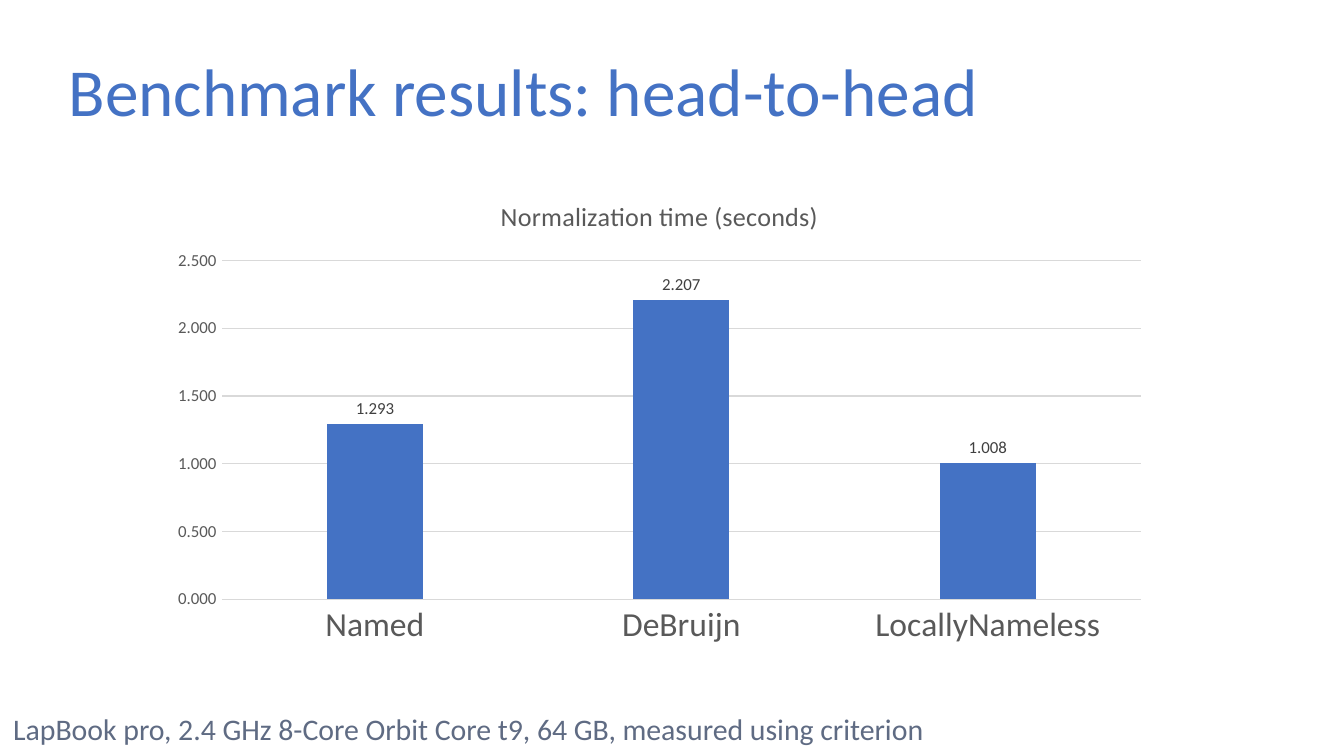
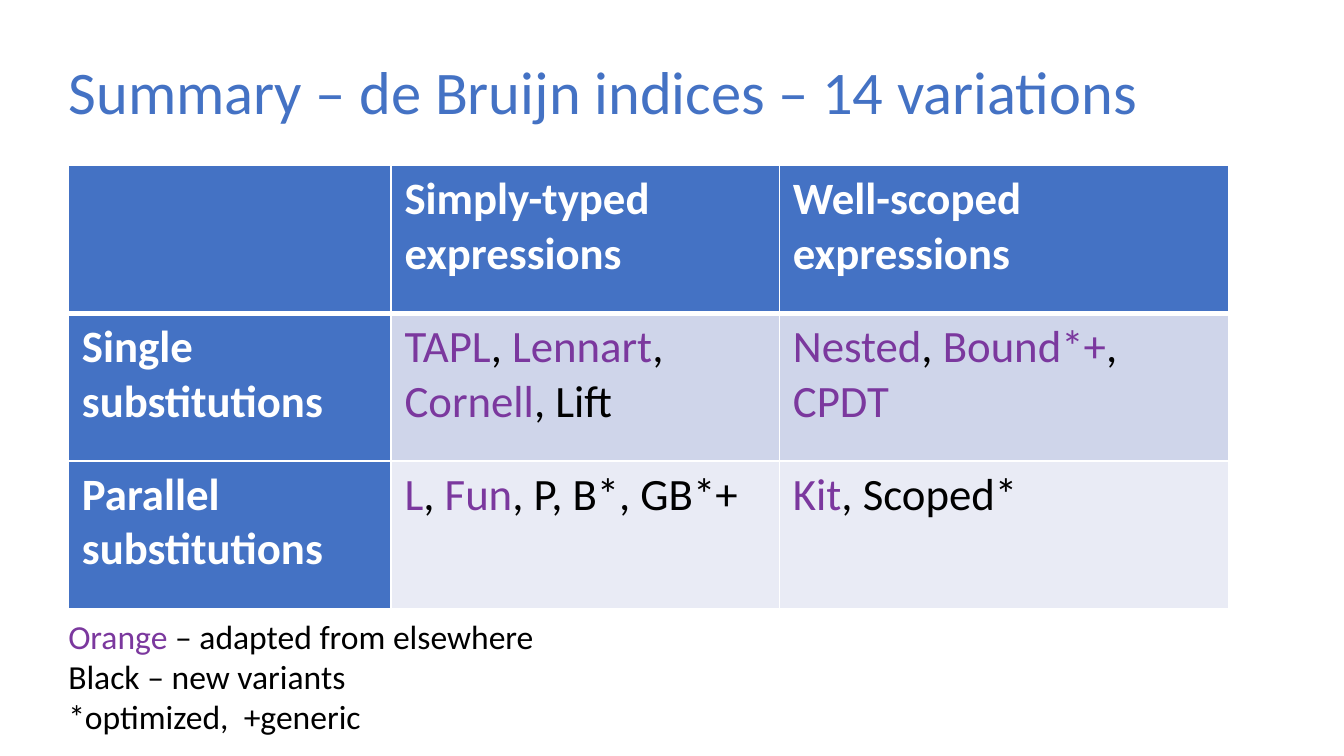
import pptx
import pptx.chart.data
import pptx.dml.color
import pptx.enum.chart
import pptx.enum.text
import pptx.oxml
import pptx.oxml.ns
import pptx.util

WIDTH = 10
HEIGHT = WIDTH * 9 / 16
FONT = "Calibri"
BLUE, PURPLE, BLACK, WHITE = "4472C4", "7B389E", "000000", "FFFFFF"
SLATE, GREY, DARK_GREY, GRID_GREY = "5F6B83", "595959", "404040", "D9D9D9"
ROW_FILLS = [BLUE, "CFD5EA", "E9EBF5"]

TITLE_BOX = (0.41, 0.26, 8.62, 0.89)
BENCHMARK_TITLE = "Benchmark results: head-to-head"
CHART_TITLE = "Normalization time (seconds)"
CHART_BOX = (1.18, 1.31, 7.46, 3.55)
CHART_TITLE_PLACE = (3.69, 1.44)
PLOT_BOX = (1.65, 1.94, 6.84, 2.52)
TIMES = {"Named": 1.293, "DeBruijn": 2.207, "LocallyNameless": 1.008}
MACHINE = "LapBook pro, 2.4 GHz 8-Core Orbit Core t9, 64 GB, measured using criterion"

SUMMARY_TITLE = "Summary – de Bruijn indices – 14 variations"
TABLE_LEFT, TABLE_TOP = 0.51, 1.23
COLUMN_WIDTHS = [2.4, 2.89, 3.34]
ROW_HEIGHT = 1.1
# Text between bars is adapted from elsewhere and shown in purple.
SUMMARY = [
    ["", "Simply-typed expressions", "Well-scoped expressions"],
    ["Single substitutions", "|TAPL|, |Lennart|, |Cornell|, Lift",
     "|Nested|, |Bound*+|, |CPDT|"],
    ["Parallel substitutions", "|L|, |Fun|, P, B*, GB*+", "|Kit|, Scoped*"],
]
LEGEND = [["|Orange| – adapted from elsewhere", "Black – new variants"],
          ["*optimized,  +generic"]]


def rgb(color):
    return pptx.dml.color.RGBColor.from_string(color)


def inches(*lengths):
    return [pptx.util.Inches(length) for length in lengths]


def set_font(font, size, color, bold=False):
    font.name = FONT
    font.size = pptx.util.Pt(size)
    font.color.rgb = rgb(color)
    font.bold = bold


def add_runs(paragraph, text, size, color, bold=False):
    """Add a run for each part of the text, purple between bars."""
    for index, part in enumerate(text.split("|")):
        if part:
            run = paragraph.add_run()
            run.text = part
            set_font(run.font, size, PURPLE if index % 2 else color, bold)


def add_titled_slide(presentation, text, size):
    slide = presentation.slides.add_slide(presentation.slide_layouts[5])
    title = slide.shapes.title
    title.left, title.top, title.width, title.height = inches(*TITLE_BOX)
    frame = title.text_frame
    frame.word_wrap = True
    frame.auto_size = pptx.enum.text.MSO_AUTO_SIZE.NONE
    frame.vertical_anchor = pptx.enum.text.MSO_ANCHOR.MIDDLE
    paragraph = frame.paragraphs[0]
    paragraph.alignment = pptx.enum.text.PP_ALIGN.LEFT
    paragraph.line_spacing = 0.9
    add_runs(paragraph, text, size, BLUE)
    return slide


def add_note(slide, box, paragraphs, size, color):
    """Add a text box; each paragraph is a list of lines."""
    frame = slide.shapes.add_textbox(*inches(*box)).text_frame
    frame.word_wrap = False
    frame.auto_size = pptx.enum.text.MSO_AUTO_SIZE.SHAPE_TO_FIT_TEXT
    for index, lines in enumerate(paragraphs):
        paragraph = frame.add_paragraph() if index else frame.paragraphs[0]
        for number, line in enumerate(lines):
            if number:
                paragraph.add_line_break()
            add_runs(paragraph, line, size, color)


def set_layout(element, position, box, target=""):
    """Place a chart part at a slide position, as shares of the chart's size."""
    left, top, width, height = CHART_BOX
    shares = [(box[0] - left) / width, (box[1] - top) / height]
    if len(box) == 4:
        shares += [box[2] / width, box[3] / height]
    for old in element.findall(pptx.oxml.ns.qn("c:layout")):
        element.remove(old)
    modes = "".join(f'<c:{axis}Mode val="edge"/>' for axis in "xy")
    values = "".join(f'<c:{key} val="{share:.4f}"/>'
                     for key, share in zip("xywh", shares))
    element.insert(position, pptx.oxml.parse_xml(
        f'<c:layout {pptx.oxml.ns.nsdecls("c")}><c:manualLayout>'
        f"{target}{modes}{values}</c:manualLayout></c:layout>"))


def style_axis(axis, size):
    axis.major_tick_mark = pptx.enum.chart.XL_TICK_MARK.NONE
    axis.minor_tick_mark = pptx.enum.chart.XL_TICK_MARK.NONE
    set_font(axis.tick_labels.font, size, GREY)


def style_line(line):
    line.color.rgb = rgb(GRID_GREY)
    line.width = pptx.util.Pt(0.75)


def add_times_chart(slide):
    data = pptx.chart.data.CategoryChartData(number_format="0.000")
    data.categories = list(TIMES)
    data.add_series("Series 1", list(TIMES.values()))
    chart = slide.shapes.add_chart(
        pptx.enum.chart.XL_CHART_TYPE.COLUMN_CLUSTERED,
        *inches(*CHART_BOX), data).chart
    set_font(chart.font, 10, BLACK)
    chart.has_legend = False
    chart.has_title = True
    title = chart.chart_title
    add_runs(title.text_frame.paragraphs[0], CHART_TITLE, 14, GREY)
    set_layout(title._element, 1, CHART_TITLE_PLACE)

    style_axis(chart.category_axis, 18)
    style_line(chart.category_axis.format.line)
    value_axis = chart.value_axis
    style_axis(value_axis, 9)
    value_axis.minimum_scale, value_axis.maximum_scale = 0, 2.5
    value_axis.major_unit = 0.5
    value_axis.format.line.fill.background()
    style_line(value_axis.major_gridlines.format.line)

    plot = chart.plots[0]
    plot.vary_by_categories = False
    plot.gap_width, plot.overlap = 219, -27
    fill = plot.series[0].format.fill
    fill.solid()
    fill.fore_color.rgb = rgb(BLUE)
    labels = plot.series[0].data_labels
    labels.show_value = True
    labels.position = pptx.enum.chart.XL_LABEL_POSITION.OUTSIDE_END
    set_font(labels.font, 9, DARK_GREY)
    for numbers in (value_axis.tick_labels, labels):
        numbers.number_format = "0.000"
        numbers.number_format_is_linked = False
    set_layout(chart._chartSpace.chart.plotArea, 0, PLOT_BOX,
               '<c:layoutTarget val="inner"/>')


def set_borders(cell, widths):
    """Draw white borders from widths in points: left, right, top, bottom."""
    properties = cell._tc.get_or_add_tcPr()
    for position, (side, width) in enumerate(zip("LRTB", widths)):
        properties.insert(position, pptx.oxml.parse_xml(
            f'<a:ln{side} {pptx.oxml.ns.nsdecls("a")} w="{pptx.util.Pt(width)}">'
            f'<a:solidFill><a:srgbClr val="{WHITE}"/></a:solidFill></a:ln{side}>'))


def add_summary_table(slide):
    table = slide.shapes.add_table(
        len(SUMMARY), len(COLUMN_WIDTHS),
        *inches(TABLE_LEFT, TABLE_TOP, sum(COLUMN_WIDTHS),
                ROW_HEIGHT * len(SUMMARY))).table
    for column, width in zip(table.columns, COLUMN_WIDTHS):
        column.width = pptx.util.Inches(width)
    for row_index, texts in enumerate(SUMMARY):
        table.rows[row_index].height = pptx.util.Inches(ROW_HEIGHT)
        for column_index, text in enumerate(texts):
            cell = table.cell(row_index, column_index)
            heading = row_index == 0 or column_index == 0
            cell.fill.solid()
            cell.fill.fore_color.rgb = rgb(BLUE if heading else ROW_FILLS[row_index])
            set_borders(cell, (1, 1, 3 if row_index == 1 else 1,
                               3 if row_index == 0 else 1))
            add_runs(cell.text_frame.paragraphs[0], text, 24,
                     WHITE if heading else BLACK, heading)


def main():
    presentation = pptx.Presentation()
    presentation.slide_width, presentation.slide_height = inches(WIDTH, HEIGHT)

    benchmark = add_titled_slide(presentation, BENCHMARK_TITLE, 36)
    add_note(benchmark, (0, 5.24, 7.06, 0.37), [[MACHINE]], 16, SLATE)
    add_times_chart(benchmark)

    summary = add_titled_slide(presentation, SUMMARY_TITLE, 32.4)
    add_summary_table(summary)
    add_note(summary, (0.41, 4.53, 3.84, 1.01), LEGEND, 18, BLACK)

    presentation.save("out.pptx")


if __name__ == "__main__":
    main()
